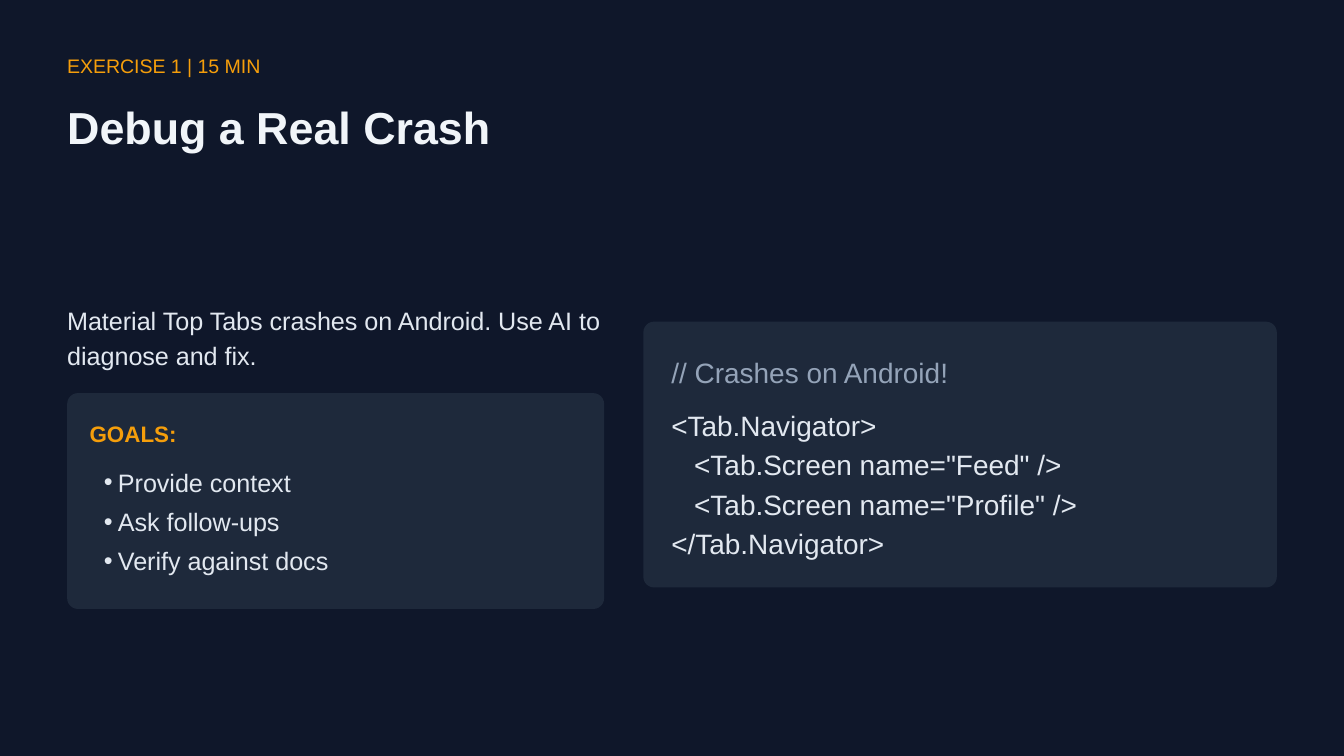
from dataclasses import dataclass

from lxml import etree
from pptx import Presentation
from pptx.dml.color import RGBColor
from pptx.enum.shapes import MSO_SHAPE
from pptx.oxml.ns import qn
from pptx.slide import Slide
from pptx.util import Inches, Pt

ROUNDED = MSO_SHAPE.ROUNDED_RECTANGLE
WIDTH = Inches(10)
HEIGHT = WIDTH * 9 // 16
COLUMNS = 100
CELL = WIDTH / COLUMNS
FONT = "Arial"
NAVY, SLATE, AMBER = "0F172A", "1E293B", "F59E0B"
WHITE, PALE, MUTED = "F1F5F9", "E2E8F0", "94A3B8"
MARGIN, CODE_LEFT, CODE_WIDTH = 5, 49.95, 43.8
CODE_TOP, CODE_STEP = 30, 2.92


@dataclass(frozen=True)
class Area:
    column: float
    row: float
    columns: float
    rows: float


@dataclass(frozen=True)
class Style:
    size: float
    leading: float
    color: str = PALE
    bold: bool = False
    after: float = 0


@dataclass(frozen=True)
class Card:
    area: Area
    rounding: float


@dataclass(frozen=True)
class Passage:
    area: Area
    lines: tuple[str, ...]
    style: Style
    inset: float = 0
    bulleted: bool = False


BODY = Style(13.5, 18.9)
GOAL = Style(13.5, 21)
CODE = Style(15, 21)

CARDS = (
    Card(Area(MARGIN, 29.25, 39.95, 16.06), 0.05),
    Card(Area(47.87, 23.94, 47.13, 19.77), 0.04),
)

PASSAGES = (
    Passage(Area(MARGIN, 3.75, 91.8, 2), ("EXERCISE 1 | 15 MIN",),
            Style(10.5, 14.7, AMBER, after=4.5)),
    Passage(Area(MARGIN, 8.1, 46, 3.3), ("Debug a Real Crash",),
            Style(24, 24, WHITE, True, 15)),
    Passage(Area(MARGIN, 22.35, 40.8, 5.2),
            ("Material Top Tabs crashes on Android. Use AI to diagnose and fix.",), BODY),
    Passage(Area(6.67, 30.94, 37.4, 2.3), ("GOALS:",), Style(12, 16.8, AMBER, True)),
    Passage(Area(6.7, 34.1, 36.6, 9.6),
            ("Provide context", "Ask follow-ups", "Verify against docs"),
            GOAL, inset=1.04, bulleted=True),
    Passage(Area(CODE_LEFT, 26.04, CODE_WIDTH, CODE_STEP), ("// Crashes on Android!",),
            Style(15, 21, MUTED, after=7.5)),
)

CODE_LINES = (
    (0, "<Tab.Navigator>"),
    (1.7, '<Tab.Screen name="Feed" />'),
    (1.7, '<Tab.Screen name="Profile" />'),
    (0, "</Tab.Navigator>"),
)


def rgb(color: str) -> RGBColor:
    return RGBColor.from_string(color)


def cells(count: float) -> int:
    return round(count * CELL)


def place(area: Area) -> tuple[int, int, int, int]:
    return cells(area.column), cells(area.row), cells(area.columns), cells(area.rows)


def draw_card(slide: Slide, card: Card) -> None:
    panel = slide.shapes.add_shape(ROUNDED, *place(card.area))
    panel.adjustments[0] = card.rounding
    panel.shadow.inherit = False
    panel.fill.solid()
    panel.fill.fore_color.rgb = rgb(SLATE)
    panel.line.fill.background()


def draw_passage(slide: Slide, passage: Passage) -> None:
    frame = slide.shapes.add_textbox(*place(passage.area)).text_frame
    frame.word_wrap = True
    frame.margin_left = cells(passage.inset)
    frame.margin_top = frame.margin_right = frame.margin_bottom = 0
    frame.text = "\n".join(passage.lines)
    style = passage.style
    for paragraph in frame.paragraphs:
        paragraph.line_spacing = Pt(style.leading)
        paragraph.space_after = Pt(style.after)
        if passage.bulleted:
            properties = paragraph._p.get_or_add_pPr()
            properties.set("marL", str(cells(1.04)))
            properties.set("indent", str(-cells(1.04)))
            etree.SubElement(properties, qn("a:buFont"), typeface=FONT)
            etree.SubElement(properties, qn("a:buChar"), char="•")
        paragraph.font.name = FONT
        paragraph.font.size = Pt(style.size)
        paragraph.font.bold = style.bold
        paragraph.font.color.rgb = rgb(style.color)


def main() -> None:
    deck = Presentation()
    deck.slide_width, deck.slide_height = WIDTH, HEIGHT
    slide = deck.slides.add_slide(deck.slide_layouts[6])
    slide.background.fill.solid()
    slide.background.fill.fore_color.rgb = rgb(NAVY)
    for card in CARDS:
        draw_card(slide, card)
    for passage in PASSAGES:
        draw_passage(slide, passage)
    for index, (inset, line) in enumerate(CODE_LINES):
        area = Area(CODE_LEFT, CODE_TOP + index * CODE_STEP, CODE_WIDTH, CODE_STEP)
        draw_passage(slide, Passage(area, (line,), CODE, inset))
    deck.save("out.pptx")


if __name__ == "__main__":
    main()
